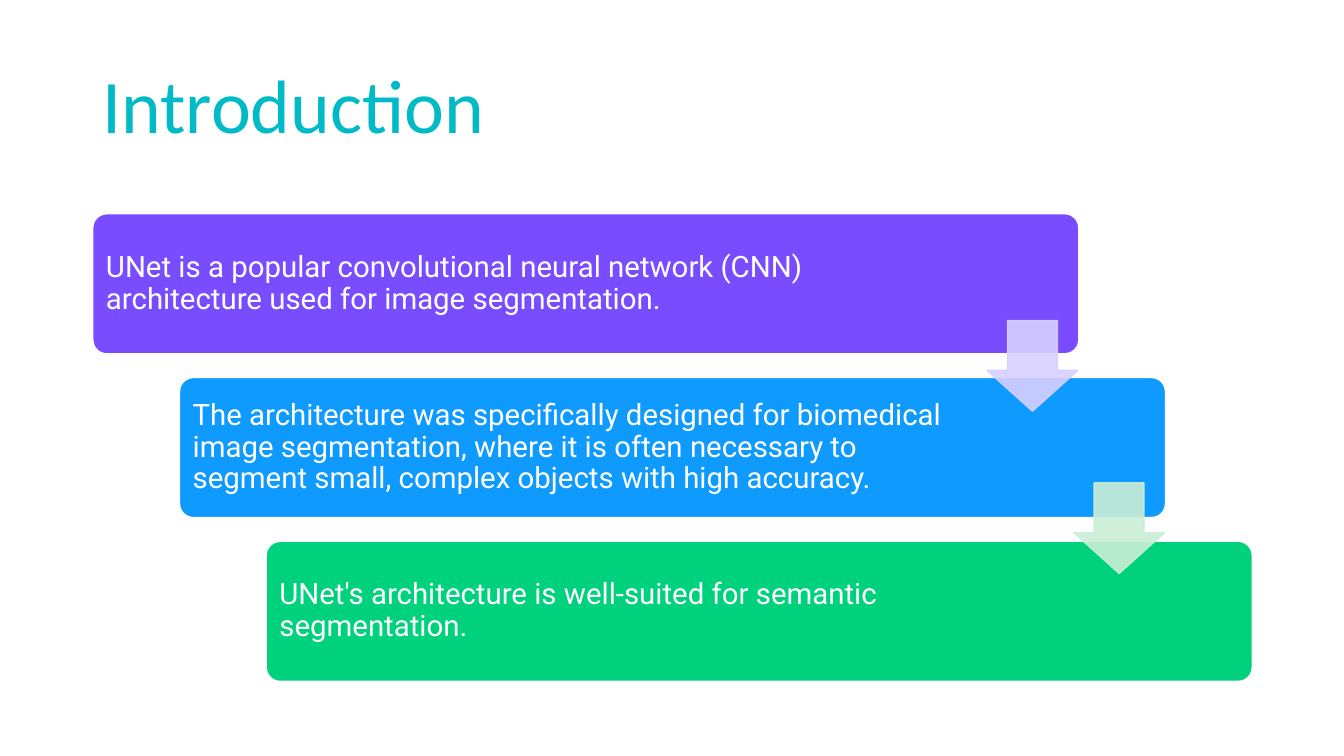
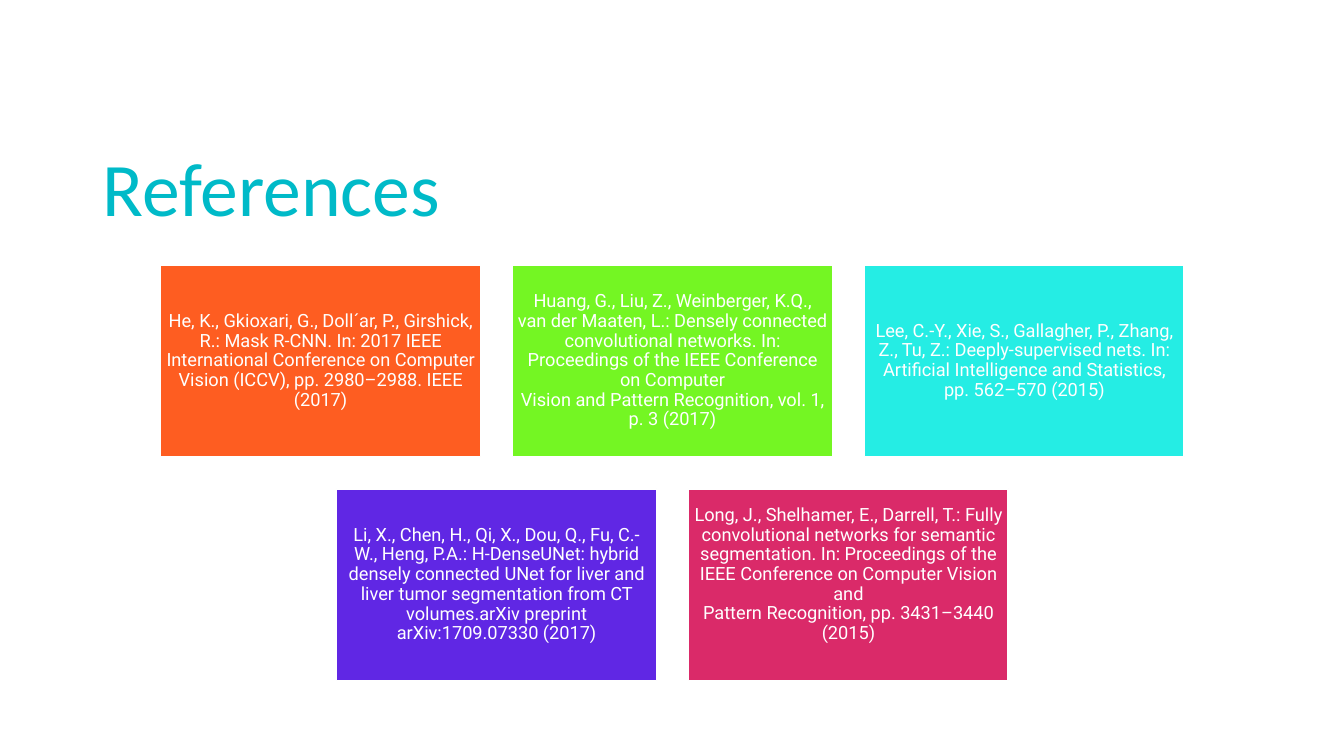
"""Build two slides: a stepped introduction and a grid of references."""
from pptx import Presentation
from pptx.dml.color import RGBColor
from pptx.enum.shapes import MSO_SHAPE as SHAPE
from pptx.enum.text import MSO_ANCHOR as ANCHOR, PP_ALIGN as ALIGN
from pptx.oxml.ns import qn
from pptx.util import Inches, Pt
from lxml.etree import SubElement

WHITE, TEAL = "FFFFFF", "00BAC8"
TITLE = {"name": "Calibri", "size": Pt(54), "color": TEAL}
STEP = {"name": "Roboto", "size": Pt(21), "color": WHITE}
REF = {"name": "Roboto", "size": Pt(13), "color": WHITE}


def draw(slide, kind, at, fill, line, alpha=None):
    """Add a filled and outlined shape, translucent if alpha is given."""
    shape = slide.shapes.add_shape(kind, *map(Inches, at))
    shape.shadow.inherit = False
    shape.line.width = Pt(1)
    shape.fill.solid()
    for part, tone in ((shape.fill.fore_color, fill), (shape.line.color, line)):
        part.rgb = RGBColor.from_string(tone)
    if alpha:
        for node in list(shape.element.spPr.iter(qn("a:srgbClr"))):
            SubElement(node, qn("a:alpha"), val=str(alpha * 1000))
    return shape


def write(shape, text, look, align, anchor, insets):
    """Fill a shape with one paragraph of text in the given look."""
    frame = shape.text_frame
    frame.word_wrap = True
    frame.vertical_anchor = anchor
    for side, inset in zip(("left", "top", "right", "bottom"), insets):
        setattr(frame, "margin_" + side, Inches(inset))
    para = frame.paragraphs[0]
    para.text = text
    para.alignment = align
    para.line_spacing = 0.9
    for run in para.runs:
        for key, value in look.items():
            if key == "color":
                run.font.color.rgb = RGBColor.from_string(value)
            else:
                setattr(run.font, key, value)


deck = Presentation()
deck.slide_width, deck.slide_height = Inches(13.33), Inches(7.5)

slides = []
for title, width, height in (("Introduction", 11.67, 1.14), ("References", 11.5, 1.96)):
    slide = deck.slides.add_slide(deck.slide_layouts[6])
    box = slide.shapes.add_textbox(*map(Inches, (0.92, 0.4, width, height)))
    write(box, title, TITLE, ALIGN.LEFT, ANCHOR.BOTTOM, (0.1, 0.05, 0.1, 0.05))
    slides.append(slide)
intro, refs = slides

SHIFT = 0.86
steps = [
    ("794DFF", "UNet is a popular convolutional neural network (CNN) architecture "
     "used for image segmentation."),
    ("0F9AFF", "The architecture was specifically designed for biomedical image "
     "segmentation, where it is often necessary to segment small, complex objects "
     "with high accuracy."),
    ("00D17D", "UNet's architecture is well-suited for semantic segmentation."),
]
for i, (fill, text) in enumerate(steps):
    at = (0.92 + SHIFT * i, 2.12 + 3.25 * i / 2, 9.78, 1.39)
    box = draw(intro, SHAPE.ROUNDED_RECTANGLE, at, fill, WHITE)
    box.adjustments[0] = 0.1
    write(box, text, STEP, ALIGN.LEFT, ANCHOR.MIDDLE, (0.09, 0.09, 1.86, 0.09))

for i, fill in enumerate(("D7D0FF", "CBEED7")):
    at = (9.79 + SHIFT * i, 3.18 + 1.61 * i, 0.9, 0.9)
    arrow = draw(intro, SHAPE.DOWN_ARROW, at, fill, fill, alpha=90)
    arrow.adjustments[0] = 0.45
    arrow.adjustments[1] = 0.45
    arrow.adjustments[0] = 0.55

WIDE, HIGH, GAP = 3.17, 1.9, 0.32
MID = 6.67
rows = [
    [
        ("FE5D21", 0.05, "He, K., Gkioxari, G., Doll´ar, P., Girshick, R.: Mask R-CNN. "
         "In: 2017 IEEE International Conference on Computer Vision (ICCV), "
         "pp. 2980–2988. IEEE (2017)"),
        ("74F623", 0.05, "Huang, G., Liu, Z., Weinberger, K.Q., van der Maaten, L.: "
         "Densely connected\nconvolutional networks. In: Proceedings of the IEEE "
         "Conference on Computer\nVision and Pattern Recognition, vol. 1, p. 3 (2017)"),
        ("25EDE4", 0.05, "Lee, C.-Y., Xie, S., Gallagher, P., Zhang, Z., Tu, Z.: "
         "Deeply-supervised nets. In:\nArtificial Intelligence and Statistics, "
         "pp. 562–570 (2015)"),
    ],
    [
        ("6027E4", 0.05, "Li, X., Chen, H., Qi, X., Dou, Q., Fu, C.-W., Heng, P.A.: "
         "H-DenseUNet: hybrid\ndensely connected UNet for liver and liver tumor "
         "segmentation from CT volumes.arXiv preprint arXiv:1709.07330 (2017)"),
        ("DA2A69", 0.25, "Long, J., Shelhamer, E., Darrell, T.: Fully convolutional "
         "networks for semantic\nsegmentation. In: Proceedings of the IEEE Conference "
         "on Computer Vision and\nPattern Recognition, pp. 3431–3440 (2015)"),
    ],
]
for r, row in enumerate(rows):
    left = MID - (len(row) * (WIDE + GAP) - GAP) / 2
    for c, (fill, base, text) in enumerate(row):
        at = (left + c * (WIDE + GAP), 2.63 + r * (HIGH + GAP), WIDE, HIGH)
        card = draw(refs, SHAPE.RECTANGLE, at, fill, WHITE)
        write(card, text, REF, ALIGN.CENTER, ANCHOR.MIDDLE, (0.05, 0.05, 0.05, base))

deck.save("out.pptx")
